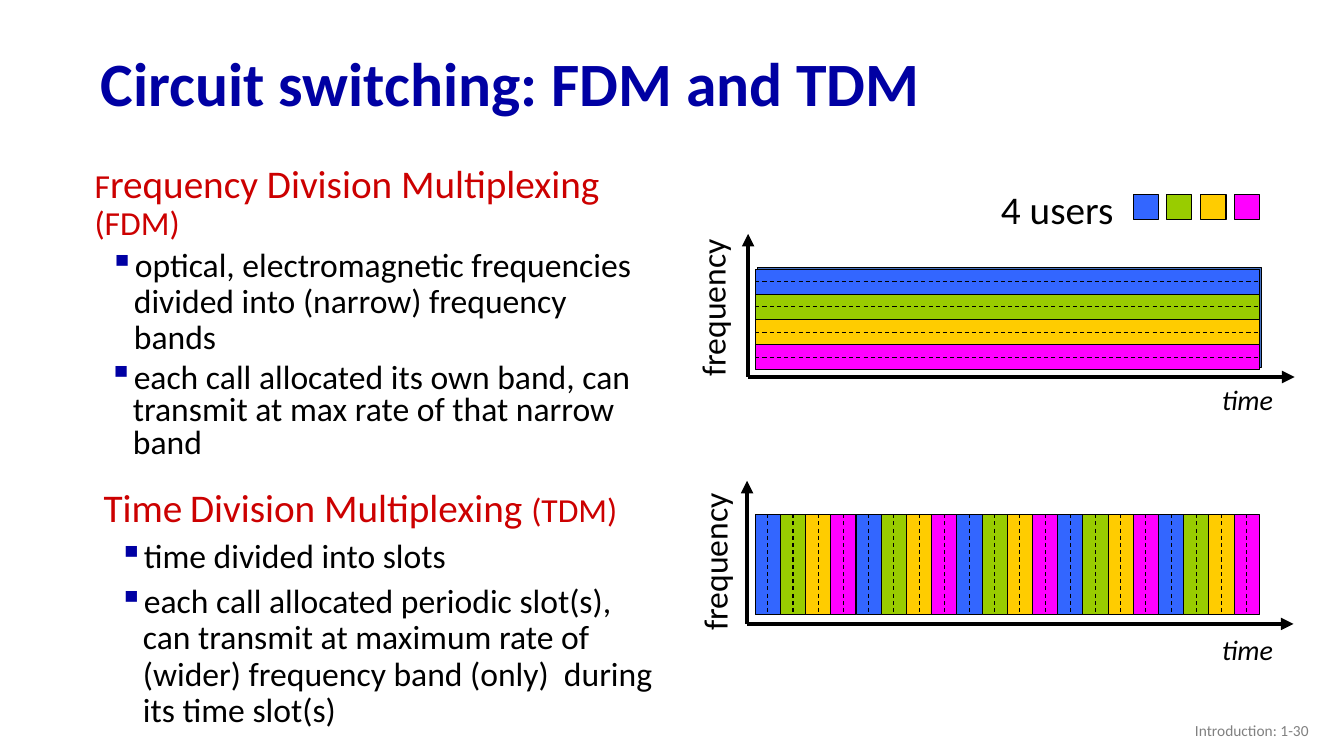
"""Build a slide that compares frequency and time division multiplexing."""
from lxml import etree
from pptx import Presentation
from pptx.dml.color import RGBColor
from pptx.enum.dml import MSO_LINE
from pptx.enum.shapes import MSO_CONNECTOR, MSO_SHAPE
from pptx.enum.text import MSO_ANCHOR, PP_ALIGN
from pptx.oxml.ns import qn
from pptx.util import Pt

PX = 9144
NAVY = RGBColor(0x00, 0x00, 0xA3)
RED = RGBColor(0xCC, 0x00, 0x00)
BLACK = RGBColor(0x00, 0x00, 0x00)
GRAY = RGBColor(0x80, 0x80, 0x80)
FRAME_BLUE = RGBColor(0x44, 0x72, 0xC4)
USER_COLORS = [
    RGBColor(0x33, 0x66, 0xFF),
    RGBColor(0x99, 0xCC, 0x00),
    RGBColor(0xFF, 0xCC, 0x00),
    RGBColor(0xFF, 0x00, 0xFF),
]
RECTANGLE = MSO_SHAPE.RECTANGLE
STRAIGHT = MSO_CONNECTOR.STRAIGHT
DASH = MSO_LINE.DASH
TOP, MIDDLE = MSO_ANCHOR.TOP, MSO_ANCHOR.MIDDLE
LEFT, RIGHT = PP_ALIGN.LEFT, PP_ALIGN.RIGHT

prs = Presentation()
prs.slide_width, prs.slide_height = 1333 * PX, 750 * PX
slide = prs.slides.add_slide(prs.slide_layouts[6])


def add_text(box, paragraphs, wrap=True, anchor=TOP, align=LEFT, spacing=None, before=0):
    """Add a text box; each paragraph is a bullet flag and a list of runs."""
    label = slide.shapes.add_textbox(*[length * PX for length in box])
    frame = label.text_frame
    frame.word_wrap = wrap
    frame.vertical_anchor = anchor
    for index, (bulleted, runs) in enumerate(paragraphs):
        paragraph = frame.add_paragraph() if index else frame.paragraphs[0]
        if bulleted:
            props = paragraph._p.get_or_add_pPr()
            props.set("marL", str(39 * PX))
            props.set("indent", str(-24 * PX))
            bullet_color = etree.SubElement(props, qn("a:buClr"))
            etree.SubElement(bullet_color, qn("a:srgbClr")).set("val", str(NAVY))
            etree.SubElement(props, qn("a:buChar")).set("char", "▪")
        paragraph.alignment = align
        if spacing:
            paragraph.line_spacing = spacing
        if index:
            paragraph.space_before = Pt(before)
        for text, size, color, bold, italic in runs:
            run = paragraph.add_run()
            run.text = text
            font = run.font
            font.name, font.size, font.color.rgb = "Calibri", Pt(size), color
            font.bold, font.italic = bold, italic
    return label


def add_line(start, end, width):
    """Add a black straight connector between two points."""
    line = slide.shapes.add_connector(STRAIGHT, *[length * PX for length in (*start, *end)])
    line.line.color.rgb = BLACK
    line.line.width = Pt(width)
    etree.SubElement(line._element.spPr, qn("a:effectLst"))
    return line


add_text((90, 37, 1150, 98),
         [(False, [("Circuit switching: FDM and TDM", 44, NAVY, True, False)])],
         anchor=MIDDLE, spacing=0.9)

charts = [
    ((742, 374), 1284, 232, (628, 279), 375),
    ((741, 619), 1283, 477, (630, 531), 623),
]
for origin, time_end, frequency_end, frequency_at, time_top in charts:
    for tip in ((origin[0], frequency_end), (time_end, origin[1])):
        axis = add_line(origin, tip, 3)
        etree.SubElement(axis.line._get_or_add_ln(), qn("a:tailEnd")).set("type", "triangle")
    frequency = add_text((*frequency_at, 158, 51),
                         [(False, [("frequency", 24, BLACK, False, False)])], wrap=False)
    frequency.rotation = 270
    add_text((1202, time_top, 73, 44),
             [(False, [("time", 20, BLACK, False, True)])], wrap=False)

frame = [((751, 265, 500, 100), FRAME_BLUE, None)]
bands = [((749, 267 + 25 * i, 500, 25), color, (1, 3)) for i, color in enumerate(USER_COLORS)]
slots = [((749 + 25 * i, 510, 25, 100), USER_COLORS[i % 4], (0, 2)) for i in range(20)]
legend = [((1124 + round(i * 100 / 3), 193, 25, 25), color, None)
          for i, color in enumerate(USER_COLORS)]
for box, color, dash_sites in frame + bands + slots + legend:
    block = slide.shapes.add_shape(RECTANGLE, *[length * PX for length in box])
    block.shadow.inherit = False
    block.fill.solid()
    block.fill.fore_color.rgb = color
    block.line.color.rgb = BLACK
    block.line.width = Pt(0.75)
    if dash_sites:
        divider = add_line((0, 0), (0, 0), 0.75)
        divider.line.dash_style = DASH
        divider.begin_connect(block, dash_sites[0])
        divider.end_connect(block, dash_sites[1])

add_text((983, 179, 133, 57), [(False, [("4 users", 28, BLACK, False, False)])], wrap=False)

add_text((84, 158, 576, 217), [
    (False, [("F", 24, RED, False, False),
             ("requency Division Multiplexing ", 28, RED, False, False),
             ("(FDM)", 24, RED, False, False)]),
    (True, [("optical, electromagnetic frequencies divided into (narrow) frequency bands",
             24, BLACK, False, False)]),
], spacing=0.9, before=4)
add_text((83, 356, 576, 114), [
    (True, [("each call allocated its own band, can transmit at max rate of that narrow band",
             24, BLACK, False, False)]),
], spacing=0.8)
add_text((93, 480, 577, 95), [
    (False, [("Time", 28, RED, False, False),
             (" ", 24, RED, False, False),
             ("Division Multiplexing ", 28, RED, False, False),
             ("(TDM)", 24, RED, False, False)]),
    (True, [("time divided into slots", 24, BLACK, False, False)]),
], spacing=0.9, before=6)
add_text((93, 575, 577, 170), [
    (True, [("each call allocated periodic slot(s), can transmit at maximum rate of "
             "(wider) frequency band (only)  during its time slot(s)",
             24, BLACK, False, False)]),
], spacing=0.9)

add_text((1008, 705, 300, 40),
         [(False, [("Introduction: 1-30", 11, GRAY, False, False)])],
         anchor=MIDDLE, align=RIGHT)

prs.save("out.pptx")
